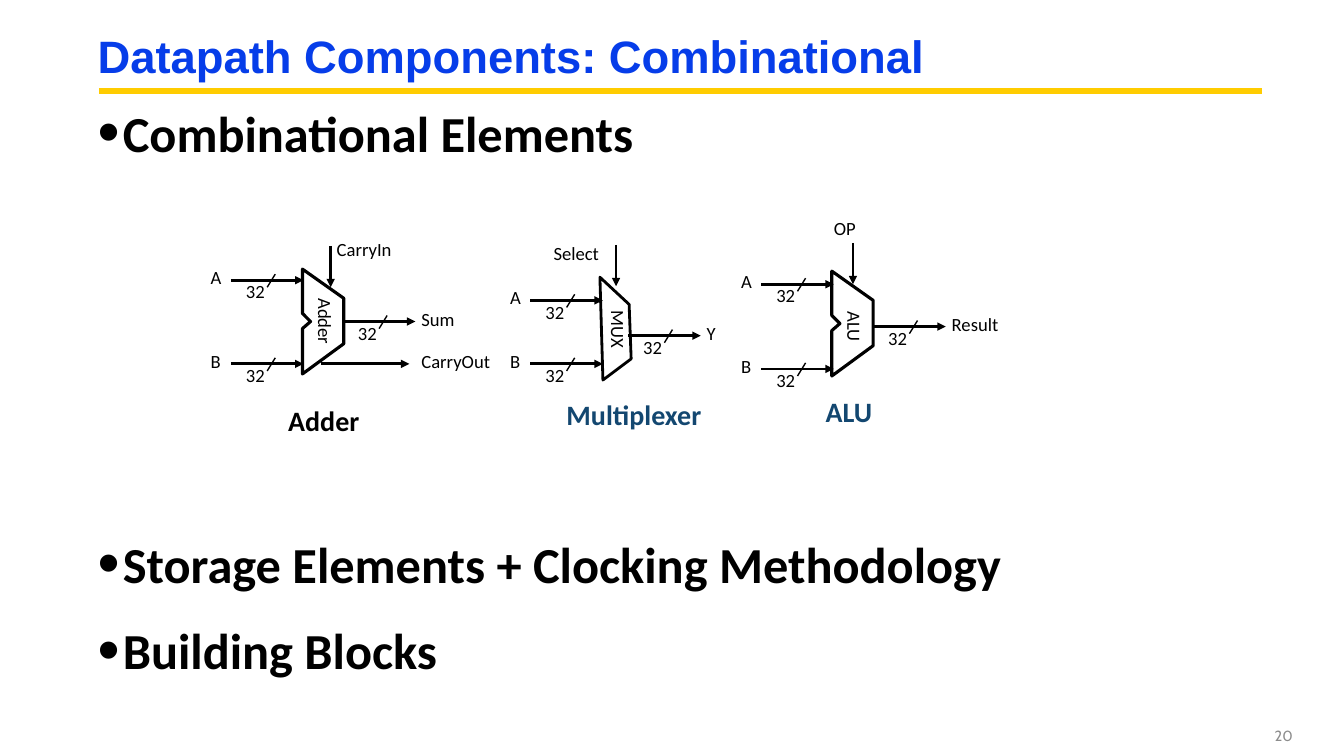
import pptx
import pptx.dml.color
import pptx.enum.shapes
import pptx.enum.text
import pptx.oxml.ns
import pptx.util
from lxml import etree
from pptx.util import Inches

BLACK = "000000"
NAVY = "134770"
ALU_OUTLINE = [(0, 0), (0, 0.44), (0.08, 0.52), (0, 0.59), (0, 1.04), (0.41, 0.74), (0.41, 0.29)]
MUX_OUTLINE = [(0, 0), (0.03, 1.02), (0.31, 0.81), (0.29, 0.27)]


def rgb(value):
    return pptx.dml.color.RGBColor.from_string(value)


def add_element(parent, tag, **attributes):
    return etree.SubElement(parent, pptx.oxml.ns.qn(tag), attributes)


def style_paragraph(paragraph, size, font, color, bold):
    paragraph.font.size = pptx.util.Pt(size)
    paragraph.font.name = font
    paragraph.font.color.rgb = rgb(color)
    paragraph.font.bold = bold


def add_text(slide, text, left, top, width, height, size, font="Calibri", color=BLACK, bold=False):
    box = slide.shapes.add_textbox(Inches(left), Inches(top), Inches(width), Inches(height))
    frame = box.text_frame
    frame.word_wrap = True
    frame.text = text
    for paragraph in frame.paragraphs:
        style_paragraph(paragraph, size, font, color, bold)
    return box


def fit_to_text(box):
    box.text_frame.word_wrap = False
    box.text_frame.auto_size = pptx.enum.text.MSO_AUTO_SIZE.SHAPE_TO_FIT_TEXT


def add_label(slide, text, left, top, width, rotation=0):
    box = add_text(slide, text, left, top, width, 0.31, 13.3)
    fit_to_text(box)
    frame = box.text_frame
    frame.margin_left = frame.margin_right = Inches(0.08)
    frame.margin_top = frame.margin_bottom = Inches(0.04)
    box.rotation = rotation


def add_caption(slide, text, left, top, width, color):
    fit_to_text(add_text(slide, text, left, top, width, 0.44, 20, color=color, bold=True))


def add_line(slide, x1, y1, x2, y2, weight, color=BLACK, arrow=False):
    line = slide.shapes.add_connector(
        pptx.enum.shapes.MSO_CONNECTOR.STRAIGHT, Inches(x1), Inches(y1), Inches(x2), Inches(y2)
    )
    line.line.width = pptx.util.Pt(weight)
    line.line.color.rgb = rgb(color)
    if arrow:
        add_element(line.line._get_or_add_ln(), "a:tailEnd", type="triangle")
    add_element(line._element.spPr, "a:effectLst")


def add_bus(slide, left, y):
    add_line(slide, left, y, left + 0.72, y, 2, arrow=True)
    add_line(slide, left + 0.44, y - 0.06, left + 0.36, y + 0.07, 1)
    add_label(slide, "32", left + 0.07, y - 0.04, 0.36)


def add_inputs(slide, left, y_a, y_b):
    for name, y in (("A", y_a), ("B", y_b)):
        add_bus(slide, left, y)
        add_label(slide, name, left - 0.28, y - 0.18, 0.28)


def add_output(slide, name, left, y, width):
    add_bus(slide, left, y)
    add_label(slide, name, left + 0.7, y - 0.18, width)


def add_control(slide, x, top, weight):
    add_line(slide, x, top, x, top + 0.41, weight, arrow=True)


def add_outline(slide, left, top, points, weight):
    corners = [(Inches(left + x), Inches(top + y)) for x, y in points]
    builder = slide.shapes.build_freeform(*corners[0], scale=1.0)
    builder.add_line_segments(corners[1:], close=True)
    unit = builder.convert_to_shape()
    unit.fill.background()
    unit.line.color.rgb = rgb(BLACK)
    unit.line.width = pptx.util.Pt(weight)
    unit.shadow.inherit = False


def add_topics(slide):
    topics = "Combinational Elements\nStorage Elements + Clocking Methodology\nBuilding Blocks"
    box = add_text(slide, topics, 0.87, 0.84, 11.8, 6.14, 36, bold=True)
    for paragraph, space in zip(box.text_frame.paragraphs, (10, 256, 10)):
        paragraph.line_spacing = 1.2
        paragraph.space_before = pptx.util.Pt(space)
        properties = paragraph._p.get_or_add_pPr()
        properties.set("marL", str(Inches(0.25)))
        properties.set("indent", str(-Inches(0.25)))
        bullet_size = etree.Element(pptx.oxml.ns.qn("a:buSzPct"), val="125000")
        bullet_font = etree.Element(pptx.oxml.ns.qn("a:buFont"), typeface="Arial")
        bullet = etree.Element(pptx.oxml.ns.qn("a:buChar"), char="•")
        position = properties.index(properties.find(pptx.oxml.ns.qn("a:defRPr")))
        properties[position:position] = [bullet_size, bullet_font, bullet]


def add_adder(slide):
    add_inputs(slide, 2.29, 2.78, 3.61)
    add_output(slide, "Sum", 3.4, 3.19, 0.5)
    add_line(slide, 3.18, 3.61, 4.06, 3.61, 2, arrow=True)
    add_label(slide, "CarryOut", 4.1, 3.43, 0.86)
    add_control(slide, 3.28, 2.44, 2)
    add_label(slide, "CarryIn", 3.26, 2.32, 0.72)
    add_label(slide, "Adder", 2.91, 3.04, 0.63, 90)
    add_outline(slide, 3, 2.67, ALU_OUTLINE, 2.25)
    add_caption(slide, "Adder", 2.76, 3.95, 0.92, BLACK)


def add_multiplexer(slide):
    add_inputs(slide, 5.26, 2.98, 3.61)
    add_output(slide, "Y", 6.23, 3.33, 0.26)
    add_control(slide, 6.11, 2.43, 1)
    add_label(slide, "Select", 5.41, 2.36, 0.62)
    add_label(slide, "MUX", 5.86, 3.12, 0.54, 90)
    add_outline(slide, 5.95, 2.75, MUX_OUTLINE, 2)
    add_caption(slide, "Multiplexer", 5.52, 3.89, 1.55, NAVY)


def add_alu(slide):
    add_inputs(slide, 7.55, 2.82, 3.66)
    add_output(slide, "Result", 8.66, 3.24, 0.63)
    add_control(slide, 8.46, 2.41, 1)
    add_label(slide, "OP", 8.19, 2.11, 0.38)
    add_label(slide, "ALU", 8.24, 3.09, 0.47, 90)
    add_outline(slide, 8.25, 2.69, ALU_OUTLINE, 2.25)
    add_caption(slide, "ALU", 8.09, 3.86, 0.67, NAVY)


def main():
    deck = pptx.Presentation()
    deck.slide_width = Inches(13.33)
    deck.slide_height = Inches(7.5)
    slide = deck.slides.add_slide(deck.slide_layouts[6])

    add_line(slide, 0.98, 0.9, 12.52, 0.9, 4.5, "FFCC00")
    title = add_text(slide, "Datapath Components: Combinational", 0.87, 0.27, 11.21, 0.63,
                     32.4, "Arial", "063DE9", True)
    title.text_frame.vertical_anchor = pptx.enum.text.MSO_ANCHOR.MIDDLE
    title.text_frame.paragraphs[0].line_spacing = 0.9
    add_topics(slide)

    add_adder(slide)
    add_multiplexer(slide)
    add_alu(slide)

    page_number = add_text(slide, "20", 12.08, 7.1, 0.84, 0.4, 10.5, "Cabin", "8C8C8C")
    page_number.text_frame.vertical_anchor = pptx.enum.text.MSO_ANCHOR.MIDDLE
    page_number.text_frame.paragraphs[0].alignment = pptx.enum.text.PP_ALIGN.RIGHT
    deck.save("out.pptx")


if __name__ == "__main__":
    main()
